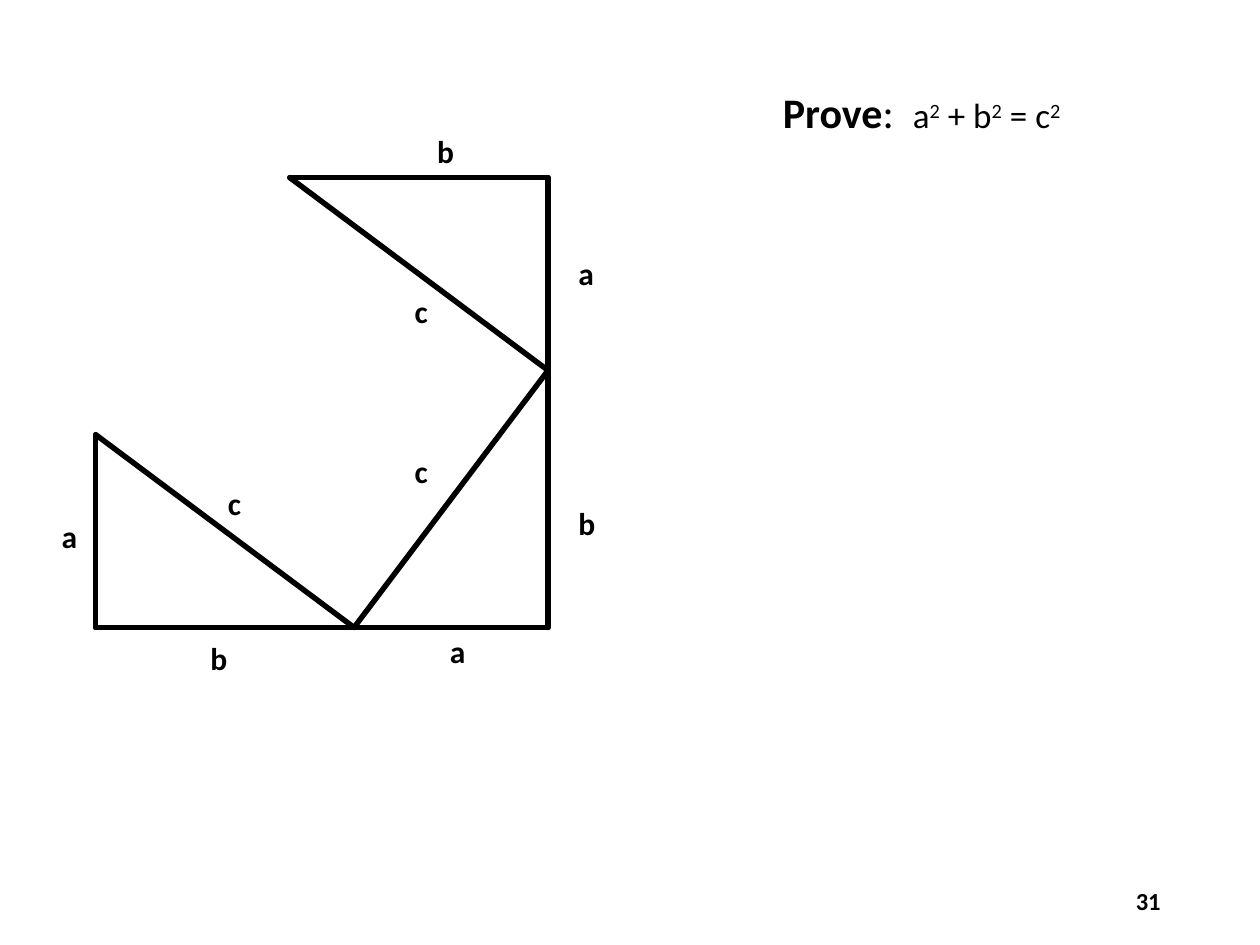
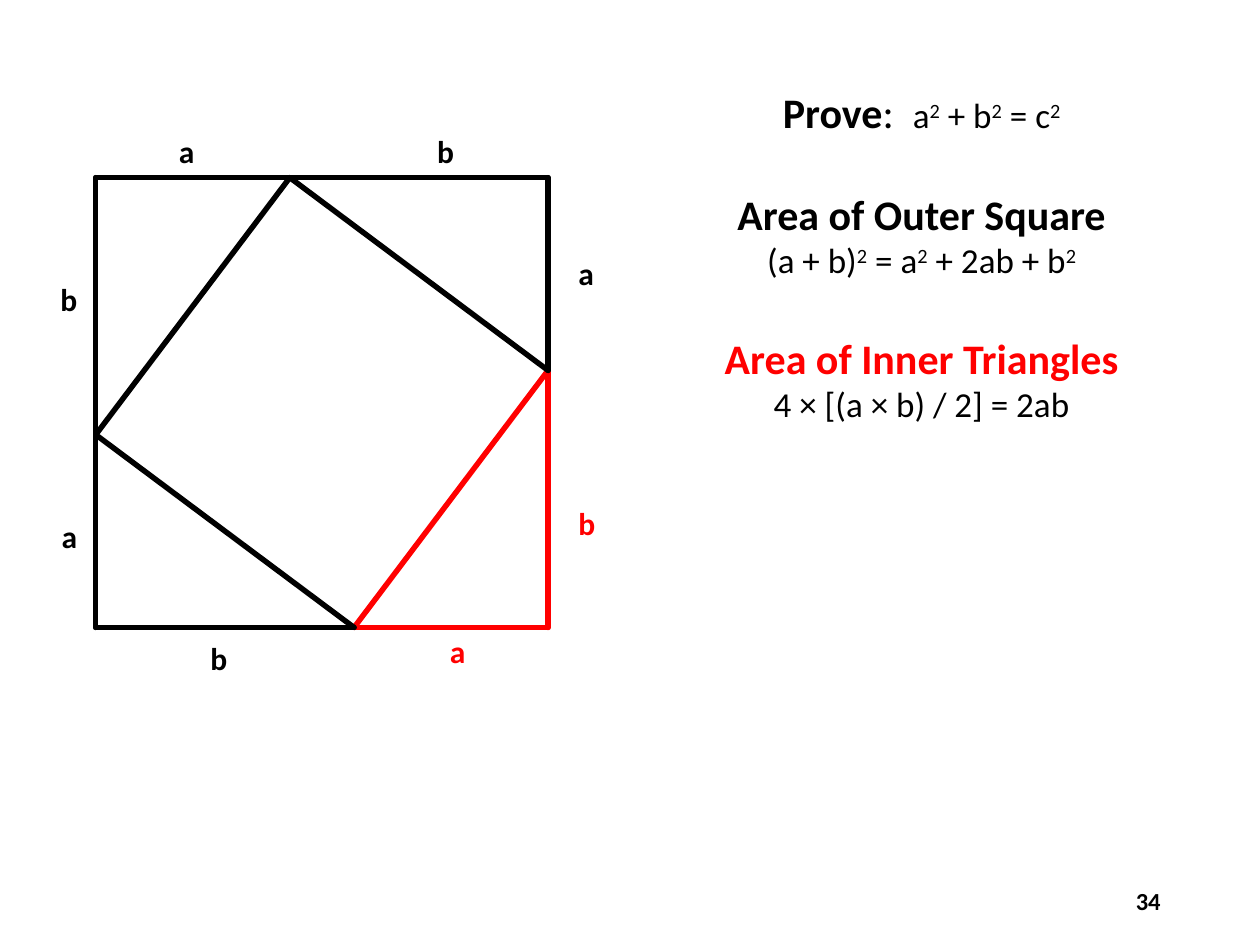
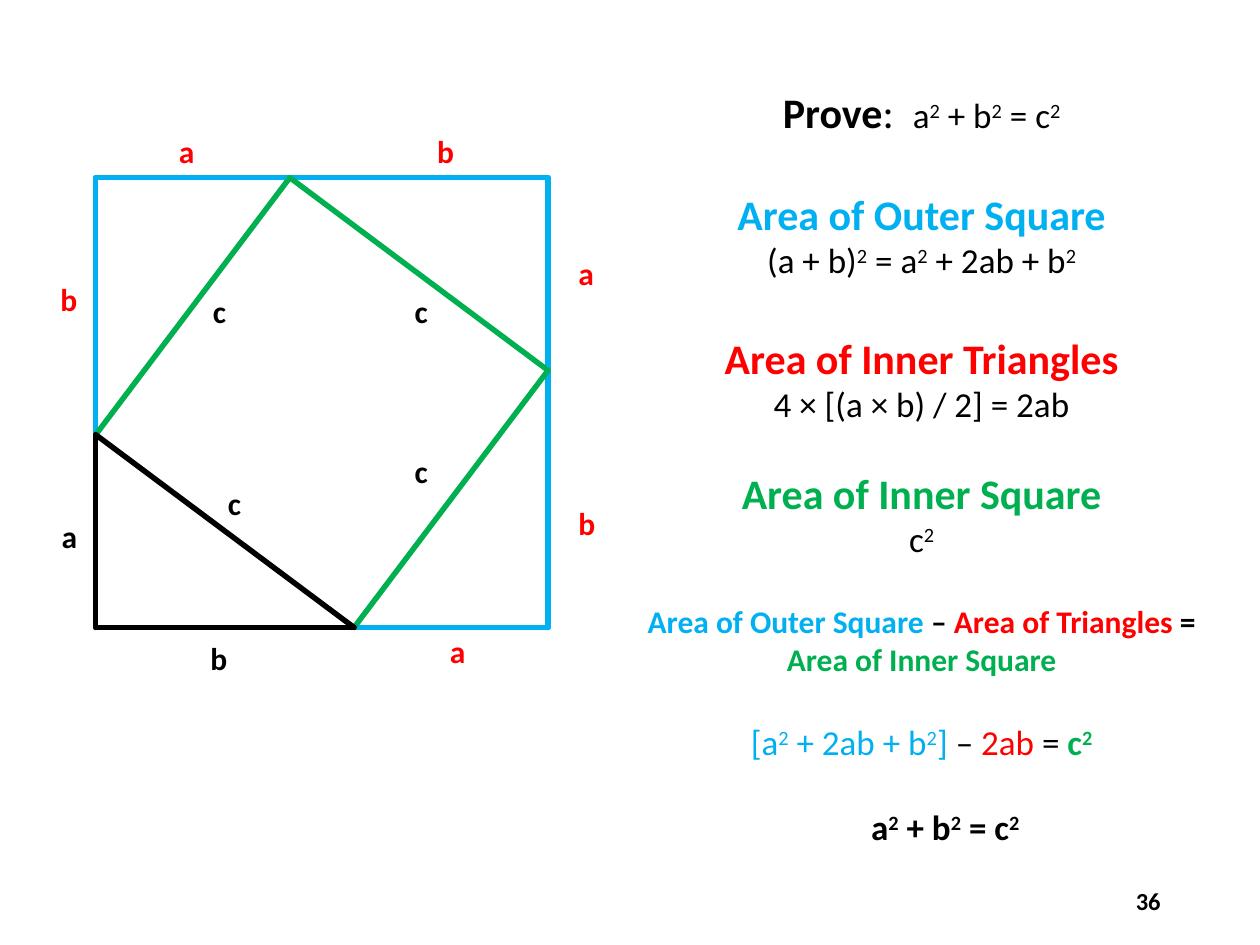
import pptx
import pptx.util
import pptx.dml.color
import pptx.enum.shapes
import pptx.enum.text
import pptx.oxml.ns
import lxml.etree

Inches = pptx.util.Inches
Pt = pptx.util.Pt
ALIGN = pptx.enum.text.PP_ALIGN
ANCHOR = pptx.enum.text.MSO_ANCHOR
FIT = pptx.enum.text.MSO_AUTO_SIZE.SHAPE_TO_FIT_TEXT

C = {"black": "000000", "red": "FF0000", "blue": "00B0F0", "green": "00B050"}
FONT = "Calibri"
LINE_WIDTH = 3.13
INSETS = ("margin_left", "margin_top", "margin_right", "margin_bottom")

LEFT, N_X, S_X, RIGHT = 0.76, 2.3, 2.81, 4.35
TOP, E_Y, W_Y, BOTTOM = 1.41, 2.94, 3.45, 4.98
NORTH, EAST, SOUTH, WEST = (N_X, TOP), (RIGHT, E_Y), (S_X, BOTTOM), (LEFT, W_Y)

TRIANGLES = {
    "bottom right": ((RIGHT, BOTTOM), SOUTH, EAST,
                     {"a": (3.57, 5.02), "b": (4.59, 4), "c": (3.29, 3.59)}),
    "top right": ((RIGHT, TOP), NORTH, EAST,
                  {"a": (4.59, 2.02), "b": (3.47, 1.05), "c": (3.29, 2.32)}),
    "top left": ((LEFT, TOP), NORTH, WEST,
                 {"a": (1.42, 1.05), "b": (0.48, 2.22), "c": (1.69, 2.32)}),
    "bottom left": ((LEFT, BOTTOM), WEST, SOUTH,
                    {"a": (0.49, 4.1), "b": (1.67, 5.07), "c": (1.81, 3.84)}),
}

GAP_24, GAP_20, INDENT = 29.3, 24.4, 27
PROOF = [
    (0, 0, [("Prove", 24, "black", True), (":  ", 24, "black", False),
            ("a² + b² = c²", 20, "black", False)]),
    (GAP_24, 0, [("Area of Outer Square", 24, "outer", True)]),
    (0, 0, [("(a + b)² = a² + 2ab + b²", 20, "black", False)]),
    (GAP_24, 0, [("Area of Inner Triangles", 24, "red", True)]),
    (0, 0, [("4 × [(a × b) / 2] = 2ab", 20, "black", False)]),
    (GAP_20, 0, [("Area of Inner Square", 24, "green", True)]),
    (0, 0, [("c²", 20, "black", False)]),
    (GAP_20, 0, [("Area of Outer Square", 18, "blue", True), (" – ", 18, "black", True),
                 ("Area of Triangles ", 18, "red", True), ("=", 18, "black", True)]),
    (0, 0, [("Area of Inner Square", 18, "green", True)]),
    (GAP_20, 0, [("[a² + 2ab + b²] ", 20, "blue", False), ("– ", 20, "black", False),
                 ("2ab", 20, "red", False), (" = ", 20, "black", False),
                 ("c²", 20, "green", True)]),
    (GAP_20, INDENT, [("a² + b² = c²", 20, "black", True)]),
]

BLACK = ("black", "black", "black")
RED = ("red", "red", "red")
SOLVED = ("blue", "green", "red")
SLIDES = [
    {"number": "31", "lines": 1, "height": 0.91, "outer": "black", "sides": "abc",
     "triangles": {"bottom right": BLACK, "top right": BLACK, "bottom left": BLACK}},
    {"number": "34", "lines": 5, "height": 3.13, "outer": "black", "sides": "ab",
     "triangles": {"bottom right": RED, "top right": BLACK, "top left": BLACK,
                   "bottom left": BLACK}},
    {"number": "36", "lines": 11, "height": 6.46, "outer": "blue", "sides": "abc",
     "triangles": {"bottom right": SOLVED, "top right": SOLVED, "top left": SOLVED,
                   "bottom left": BLACK}},
]


def add_runs(p, text, size, color, bold):
    for i, piece in enumerate(text.replace("²", "|2|").split("|")):
        if piece:
            r = p.add_run()
            r.text = piece
            for name, value in {"name": FONT, "size": Pt(size), "bold": bold}.items():
                setattr(r.font, name, value)
            r.font.color.rgb = pptx.dml.color.RGBColor.from_string(C[color])
            if i % 2:
                r._r.get_or_add_rPr().set("baseline", "30000")


def add_box(s, left, top, width, height, **formats):
    sp = s.shapes.add_textbox(Inches(left), Inches(top), Inches(width), Inches(height))
    tf = sp.text_frame
    for name, value in formats.items():
        setattr(tf, name, value)
    return tf


prs = pptx.Presentation()
prs.slide_width, prs.slide_height = Inches(10), Inches(7.5)

for page in SLIDES:
    s = prs.slides.add_slide(prs.slide_layouts[6])
    colors = {**C, "outer": page["outer"]}

    tf = add_box(s, 5, 0.64, 4.63, page["height"], word_wrap=True, auto_size=FIT)
    for i, (gap, indent, runs) in enumerate(PROOF[:page["lines"]]):
        p = tf.add_paragraph() if i else tf.paragraphs[0]
        p.alignment = ALIGN.CENTER
        if gap:
            p.space_before = Pt(gap)
        if indent:
            p._p.get_or_add_pPr().set("marL", str(Pt(indent)))
        for text, size, color, bold in runs:
            add_runs(p, text, size, page["outer"] if color == "outer" else color, bold)

    for name, (leg_color, hyp_color, label_color) in page["triangles"].items():
        corner, end1, end2, labels = TRIANGLES[name]
        for start, end, color in ((corner, end1, leg_color), (corner, end2, leg_color),
                                  (end1, end2, hyp_color)):
            cxn = s.shapes.add_connector(pptx.enum.shapes.MSO_CONNECTOR.STRAIGHT,
                                         *map(Inches, start + end))
            cxn.line.width = Pt(LINE_WIDTH)
            cxn.line.color.rgb = pptx.dml.color.RGBColor.from_string(C[color])
            cxn.line._get_or_add_ln().set("cap", "rnd")
            lxml.etree.SubElement(cxn._element.spPr, pptx.oxml.ns.qn("a:effectLst"))

    for name, (leg_color, hyp_color, label_color) in page["triangles"].items():
        for side in page["sides"]:
            left, top = TRIANGLES[name][3][side]
            tf = add_box(s, left, top, 0.14, 0.3, word_wrap=False, auto_size=FIT,
                         **dict.fromkeys(INSETS, 0))
            add_runs(tf.paragraphs[0], side, 18, "black" if side == "c" else label_color, True)

    tf = add_box(s, 7.06, 6.95, 2.25, 0.4, word_wrap=True, vertical_anchor=ANCHOR.MIDDLE)
    tf.paragraphs[0].alignment = ALIGN.RIGHT
    add_runs(tf.paragraphs[0], page["number"], 14, "black", True)

prs.save("out.pptx")
